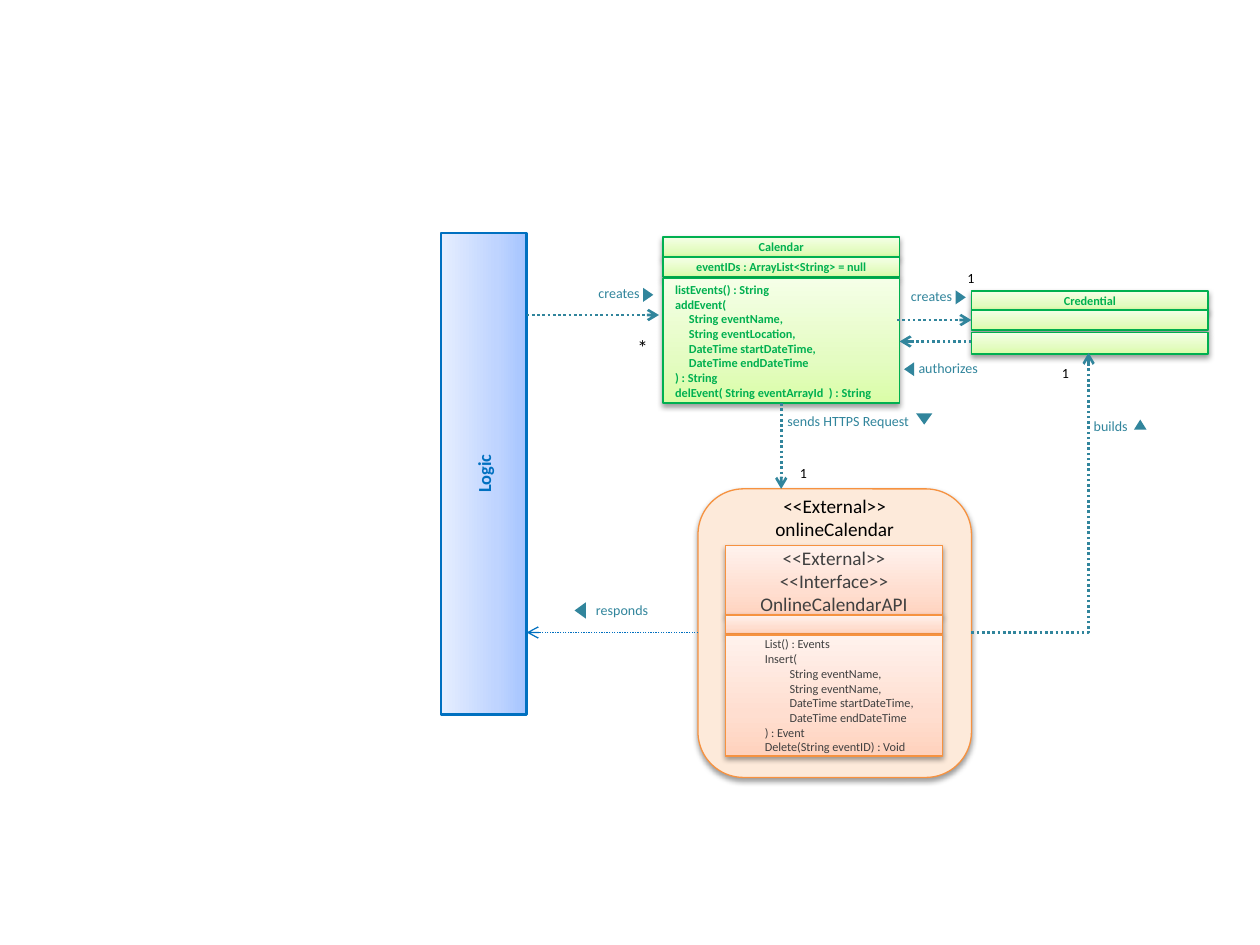
from pptx import Presentation
from pptx.dml.color import RGBColor
from pptx.enum.dml import MSO_LINE
from pptx.enum.shapes import MSO_CONNECTOR, MSO_SHAPE
from pptx.enum.text import MSO_ANCHOR, PP_ALIGN
from pptx.oxml import parse_xml
from pptx.oxml.ns import nsdecls
from pptx.util import Inches, Pt

TEAL, GREEN, BLUE, ORANGE = "31859C", "00B050", "0070C0", "F69240"
BLACK, GRAY = "000000", "404040"
LIME = ("DAFDA7", "E4FCC2", "F5FFE7")
PEACH = ("FFD2BD", "FFDED0", "FFF2ED")
SKY = ("A4C4FF", "BFD4FF", "E6EEFF")

CALLS = [
    "listEvents() : String",
    "addEvent(",
    "     String eventName,",
    "     String eventLocation,",
    "     DateTime startDateTime,",
    "     DateTime endDateTime",
    ") : String",
    "delEvent( String eventArrayId  ) : String",
]
API = [
    "List() : Events",
    "Insert(",
    "         String eventName,",
    "         String eventName,",
    "         DateTime startDateTime,",
    "         DateTime endDateTime",
    ") : Event",
    "Delete(String eventID) : Void",
]
TITLE = ["<<External>>", "onlineCalendar"]
FACE = ["<<External>>", "<<Interface>>", "OnlineCalendarAPI"]

LEFT, MID = PP_ALIGN.LEFT, PP_ALIGN.CENTER
GREENS = [
    (5.26, 1.88, 0.16, ["Calendar"], MID),
    (5.26, 2.04, 0.16, ["eventIDs : ArrayList<String> = null"], MID),
    (5.26, 2.21, 0.99, CALLS, LEFT),
    (7.71, 2.31, 0.16, ["Credential"], MID),
    (7.71, 2.46, 0.16, [], MID),
    (7.71, 2.64, 0.17, [], MID),
]
PEACHES = [
    (4.33, 0.56, FACE, 11, MID, 0.1),
    (4.88, 0.15, [], 7, MID, 0.1),
    (5.04, 0.96, API, 7, LEFT, 0.31),
]
LINES = [
    (4.18, 2.5, 5.23, 2.5, TEAL, 1.5),
    (6.2, 3.2, 6.2, 3.88, TEAL, 1.5),
    (5.54, 5.02, 4.18, 5.02, BLUE, 0.75),
    (7.12, 2.54, 7.71, 2.54, TEAL, 1.5),
    (7.71, 5.02, 8.64, 2.8, TEAL, 1.5),
    (7.71, 2.71, 7.14, 2.71, TEAL, 1.5),
]
LABELS = [
    ("creates", (4.75, 2.26, 0.5, 0.14), (5.09, 2.3, 0.11, 0.08), 90),
    ("creates", (7.23, 2.28, 0.5, 0.14), (7.57, 2.32, 0.11, 0.08), 90),
    ("authorizes", (7.29, 2.85, 0.5, 0.14), (7.16, 2.89, 0.11, 0.08), 270),
    ("sends HTTPS Request", (6.25, 3.27, 1.17, 0.19), (7.27, 3.28, 0.13, 0.09), 180),
    ("responds", (4.73, 4.77, 1.08, 0.19), (4.54, 4.8, 0.13, 0.09), 270),
    ("builds", (8.68, 3.31, 0.58, 0.19), (9, 3.33, 0.1, 0.08), 0),
]
COUNTS = [
    ("1", 6.25, 3.64, 0.24, 8),
    ("1", 7.58, 2.09, 0.24, 8),
    ("1", 8.33, 2.84, 0.24, 8),
    ("*", 4.96, 2.61, 0.3, 12),
]


def rgb(code):
    return RGBColor.from_string(code)


def write(frame, rows, size, color, align=LEFT, bold=False):
    for i, row in enumerate(rows):
        para = frame.paragraphs[0] if i == 0 else frame.add_paragraph()
        para.text = row
        para.alignment = align
        font = para.font
        font.name, font.size, font.bold = "Calibri", Pt(size), bold
        font.color.rgb = rgb(color)


def shade(item):
    item._element.spPr.append(parse_xml(
        f'<a:effectLst {nsdecls("a")}><a:outerShdw blurRad="40000" dist="20000" '
        'dir="5400000" rotWithShape="0"><a:srgbClr val="000000">'
        '<a:alpha val="38000"/></a:srgbClr></a:outerShdw></a:effectLst>'))


def blend(item, tones):
    stops = "".join(
        f'<a:gs pos="{pos}"><a:srgbClr val="{tone}"/></a:gs>'
        for pos, tone in zip((0, 35000, 100000), tones))
    item._element.spPr.append(parse_xml(
        f'<a:gradFill {nsdecls("a")} rotWithShape="1"><a:gsLst>{stops}</a:gsLst>'
        '<a:lin ang="16200000" scaled="0"/></a:gradFill>'))


def shape(slide, kind, area, fill, edge=None, width=0, drop=True):
    item = slide.shapes.add_shape(kind, *map(Inches, area))
    if isinstance(fill, tuple):
        blend(item, fill)
    else:
        item.fill.solid()
        item.fill.fore_color.rgb = rgb(fill)
    if edge:
        item.line.color.rgb = rgb(edge)
        item.line.width = Pt(width)
    else:
        item.line.fill.background()
    if drop:
        shade(item)
    else:
        item.shadow.inherit = False
    item.text_frame.vertical_anchor = MSO_ANCHOR.MIDDLE
    return item


def text(slide, area, rows, size, color, align=LEFT, flush=True):
    frame = slide.shapes.add_textbox(*map(Inches, area)).text_frame
    frame.word_wrap = True
    if flush:
        frame.margin_left = frame.margin_right = 0
        frame.margin_top = frame.margin_bottom = 0
    write(frame, rows, size, color, align)


def arrow(slide, x1, y1, x2, y2, color, width):
    bent = x1 != x2 and y1 != y2
    kind = MSO_CONNECTOR.ELBOW if bent else MSO_CONNECTOR.STRAIGHT
    item = slide.shapes.add_connector(kind, *map(Inches, (x1, y1, x2, y2)))
    props = item._element.spPr
    if bent:
        props.prstGeom.set("prst", "bentConnector2")
    item.line.color.rgb = rgb(color)
    item.line.width = Pt(width)
    item.line.dash_style = MSO_LINE.ROUND_DOT
    props.ln.append(parse_xml(f'<a:tailEnd {nsdecls("a")} type="arrow"/>'))
    props.append(parse_xml(f'<a:effectLst {nsdecls("a")}/>'))


def main():
    deck = Presentation()
    deck.slide_width, deck.slide_height = Inches(10), Inches(7.5)
    slide = deck.slides.add_slide(deck.slide_layouts[6])

    for x, y, h, rows, align in GREENS:
        item = shape(slide, MSO_SHAPE.RECTANGLE, (x, y, 1.88, h), LIME, GREEN, 1)
        write(item.text_frame, rows, 7, GREEN, align, True)

    shape(slide, MSO_SHAPE.ROUNDED_RECTANGLE, (5.54, 3.88, 2.17, 2.29), "FDEADA", ORANGE, 0.75)
    text(slide, (5.54, 3.92, 2.17, 0.38), TITLE, 11, BLACK, MID)
    for y, h, rows, size, align, inset in PEACHES:
        item = shape(slide, MSO_SHAPE.RECTANGLE, (5.76, y, 1.72, h), PEACH, ORANGE, 0.75)
        item.text_frame.margin_left = Inches(inset)
        write(item.text_frame, rows, size, GRAY, align)

    logic = shape(slide, MSO_SHAPE.RECTANGLE, (1.93, 3.42, 3.82, 0.68), SKY, BLUE, 1.5, False)
    logic.rotation = 270
    write(logic.text_frame, ["Logic"], 10.5, BLUE, MID, True)

    for line in LINES:
        arrow(slide, *line)
    for name, area, mark, turn in LABELS:
        text(slide, area, [name], 8, TEAL)
        shape(slide, MSO_SHAPE.ISOSCELES_TRIANGLE, mark, TEAL, drop=False).rotation = turn
    for name, x, y, h, size in COUNTS:
        text(slide, (x, y, 0.27, h), [name], size, BLACK, flush=False)

    deck.save("out.pptx")


if __name__ == "__main__":
    main()
